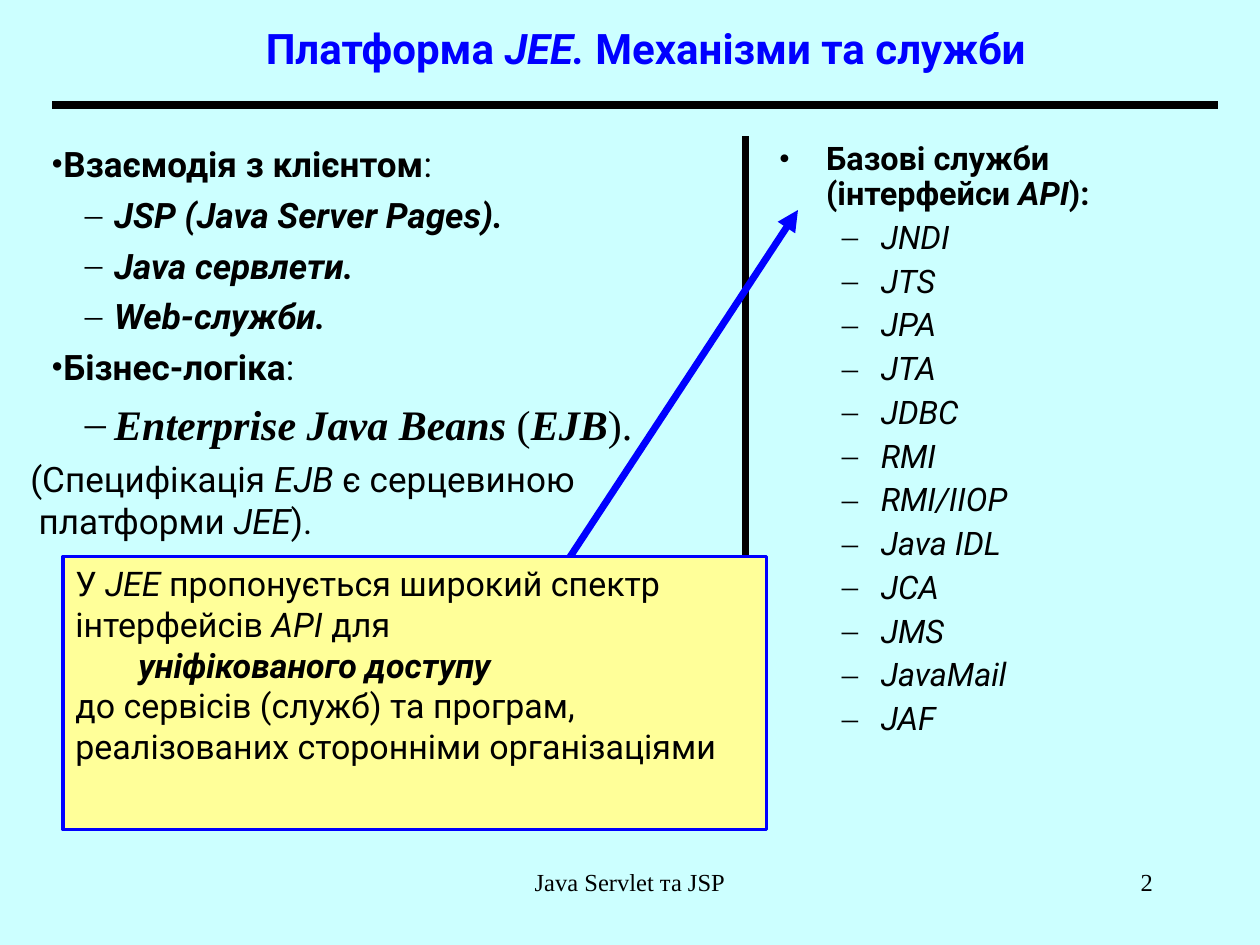
from lxml import etree
from pptx import Presentation
from pptx import util as u
from pptx.dml.color import RGBColor
from pptx.enum import shapes, text
from pptx.oxml.ns import qn

SCALE = 914400 // 120
SANS, SERIF = "Roboto", "Times New Roman"
BLACK, BLUE = "000000", "0000FF"
LEFT, MID, RIGHT = text.PP_ALIGN.LEFT, text.PP_ALIGN.CENTER, text.PP_ALIGN.RIGHT


def px(n):
    return u.Emu(n * SCALE)


def color(code):
    return RGBColor.from_string(code)


def sub(node, tag, **attrs):
    return etree.SubElement(node, qn(tag), attrs)


def write(frame, runs, size=20, font=SANS, tint=BLACK, align=LEFT, level=0,
          left=0, first=0, before=0, lines=1, bullet=None):
    """Add a paragraph of (text, style) runs; style holds b and/or i."""
    para = frame.paragraphs[0]
    if para.runs:
        para = frame.add_paragraph()
    para.alignment, para.level = align, level
    para.space_before, para.line_spacing = u.Pt(before), lines
    props = para._p.get_or_add_pPr()
    props.set("marL", str(px(left)))
    props.set("indent", str(px(first)))
    if bullet:
        sub(sub(props, "a:buClr"), "a:srgbClr", val=BLACK)
        sub(props, "a:buFont", typeface=SERIF)
        sub(props, "a:buChar", char=bullet)
    for words, style in runs:
        for i, part in enumerate(words.split("\n")):
            if i:
                para.add_line_break()
            if not part:
                continue
            run = para.add_run()
            run.text = part
            run.font.name, run.font.size = font, u.Pt(size)
            run.font.bold, run.font.italic = "b" in style, "i" in style
            run.font.color.rgb = color(tint)


def setup(frame, anchor=text.MSO_ANCHOR.TOP):
    frame.word_wrap = True
    frame.auto_size = text.MSO_AUTO_SIZE.NONE
    frame.vertical_anchor = anchor
    frame.margin_left = frame.margin_right = px(12)
    frame.margin_top = frame.margin_bottom = px(6)
    return frame


def box(slide, *area):
    return setup(slide.shapes.add_textbox(*map(px, area)).text_frame)


def line(slide, *ends, width=4, tint=BLACK, arrow=False):
    link = slide.shapes.add_connector(shapes.MSO_CONNECTOR.STRAIGHT, *map(px, ends))
    link.line.color.rgb = color(tint)
    link.line.width = u.Pt(width)
    if arrow:
        sub(link.line._get_or_add_ln(), "a:tailEnd", type="triangle")
    sub(link._element.spPr, "a:effectLst")


def title(slide):
    head = slide.shapes.title
    head.left, head.top, head.width, head.height = map(px, (120, 0, 990, 90))
    write(setup(head.text_frame, text.MSO_ANCHOR.MIDDLE),
          [("Платформа", "b"), (" JEE. ", "bi"), ("Механізми та служби", "b")],
          size=24, tint=BLUE, align=MID)


def tiers(slide):
    frame = box(slide, 0, 130, 680, 670)
    topic = dict(first=37, before=5, bullet="•")
    item = dict(level=1, left=97, first=-28, bullet="–")
    write(frame, [("Взаємодія з клієнтом", "b"), (":", "")], **topic)
    for name in ("JSP (Java Server Pages).", "Java сервлети.", "Web-служби."):
        write(frame, [(name, "bi")], before=5, **item)
    write(frame, [("Бізнес-логіка", "b"), (":", "")], **topic)
    write(frame, [("Enterprise Java Beans", "bi"), (" (", ""), ("EJB", "bi"), (").", "")],
          size=24, font=SERIF, before=6, **item)
    write(frame, [("(Специфікація ", ""), ("EJB", "i"), (" є серцевиною\nплатформи ", ""),
                  ("JEE", "i"), (").", "")], left=25, first=-8, before=5)


def services(slide):
    frame = box(slide, 730, 130, 448, 640)
    form = dict(size=18.5, before=5, lines=0.9)
    write(frame, [("Базові служби (інтерфейси ", "b"), ("API", "bi"), ("):", "b")],
          left=45, first=-45, bullet="•", **form)
    for name in ("JNDI", "JTS", "JPA", "JTA", "JDBC", "RMI", "RMI/IIOP",
                 "Java IDL", "JCA", "JMS", "JavaMail", "JAF"):
        write(frame, [(name, "i")], level=1, left=97, first=-37, bullet="–", **form)


def callout(slide):
    note = slide.shapes.add_shape(shapes.MSO_SHAPE.RECTANGLE, *map(px, (60, 530, 670, 260)))
    note.shadow.inherit = False
    note.fill.solid()
    note.fill.fore_color.rgb = color("FFFF99")
    note.line.color.rgb = color(BLUE)
    note.line.width = u.Pt(2)
    write(setup(note.text_frame),
          [("У", ""), (" JEE ", "i"), ("пропонується широкий спектр інтерфейсів ", ""),
           ("API", "i"), (" для\n\t", ""), ("уніфікованого доступу\n", "bi"),
           ("до сервісів (служб) та програм, реалізованих сторонніми організаціями", "")],
          size=19.4, before=5.2)


def main():
    deck = Presentation()
    deck.slide_width, deck.slide_height = px(1200), px(900)
    slide = deck.slides.add_slide(deck.slide_layouts[5])
    slide.background.fill.solid()
    slide.background.fill.fore_color.rgb = color("CCFFFF")
    title(slide)
    tiers(slide)
    services(slide)
    line(slide, 50, 100, 1160, 100, width=4.5)
    line(slide, 710, 130, 710, 790)
    line(slide, 530, 550, 760, 200, tint=BLUE, arrow=True)
    callout(slide)
    foot = dict(size=14, font=SERIF)
    write(box(slide, 410, 820, 380, 60), [("Java Servlet та JSP", "")], align=MID, **foot)
    write(box(slide, 860, 820, 250, 60), [("2", "")], align=RIGHT, **foot)
    deck.save("out.pptx")


if __name__ == "__main__":
    main()
